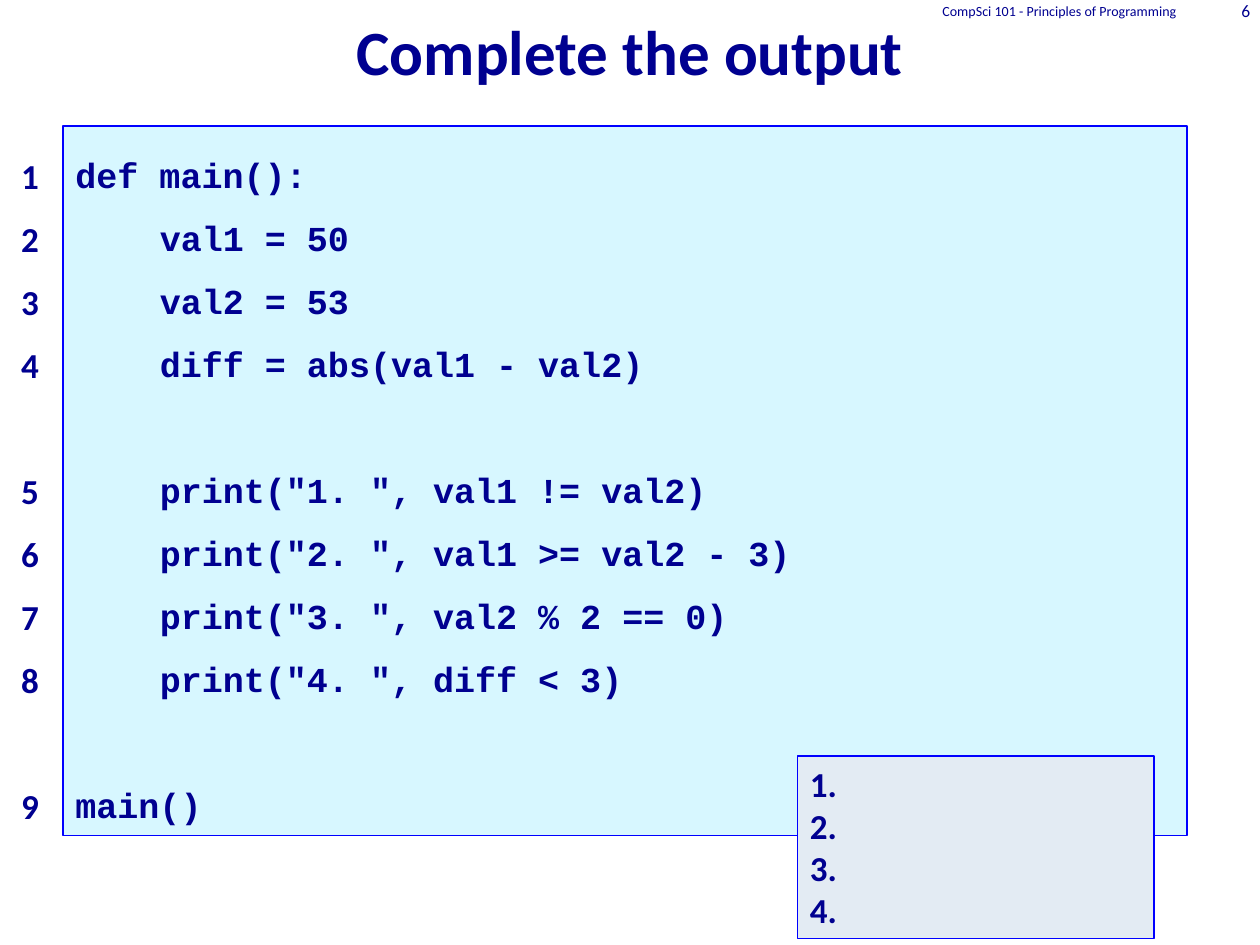
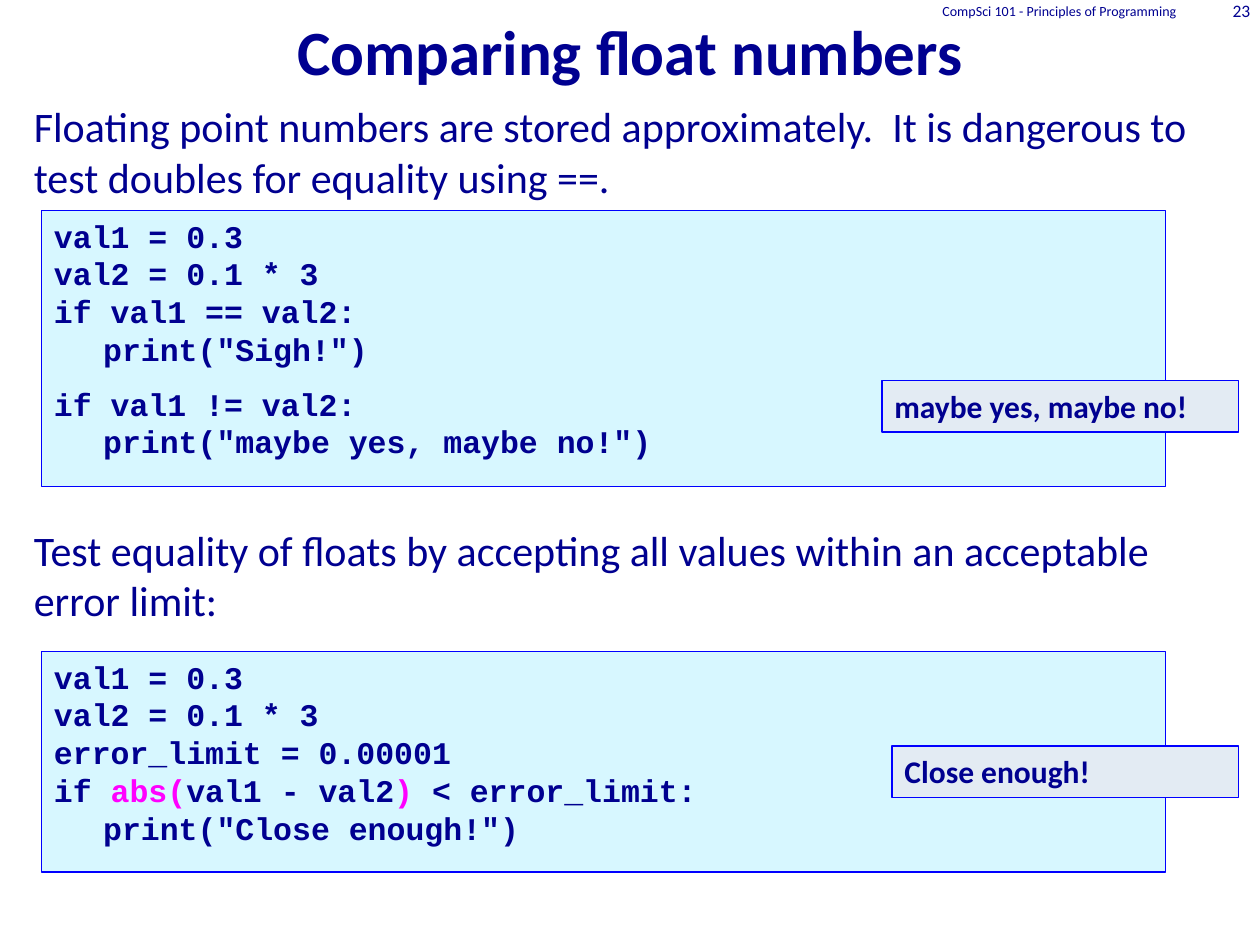
from pptx import Presentation
from pptx.dml.color import RGBColor
from pptx.enum.shapes import MSO_SHAPE
from pptx.enum.text import MSO_ANCHOR, PP_ALIGN
from pptx.util import Inches, Pt

# Content: "" is a gap, a leading tab is one indent, |...| is highlighted
COURSE = "CompSci 101 - Principles of Programming"

OUTPUT_TITLE, OUTPUT_PAGE = "Complete the output", 6
OUTPUT_CODE = [
    "def main():",
    "\tval1 = 50",
    "\tval2 = 53",
    "\tdiff = abs(val1 - val2)",
    "",
    '\tprint("1. ", val1 != val2)',
    '\tprint("2. ", val1 >= val2 - 3)',
    '\tprint("3. ", val2 % 2 == 0)',
    '\tprint("4. ", diff < 3)',
    "",
    "main()",
]
ANSWERS = ["1.", "2.", "3.", "4."]

FLOAT_TITLE, FLOAT_PAGE = "Comparing float numbers", 23
# Each part: (explanation, its top), (code, top, height), (result, left, top, width)
FLOAT_PARTS = [
    (("Floating point numbers are stored approximately.  It is dangerous to "
      "test doubles for equality using ==.", 0.75),
     (["val1 = 0.3",
       "val2 = 0.1 * 3",
       "if val1 == val2:",
       '\tprint("Sigh!")',
       "",
       "if val1 != val2:",
       '\tprint("maybe yes, maybe no!")'], 1.67, 2.19),
     ("maybe yes, maybe no!", 7, 3.02, 2.83)),
    (("Test equality of floats by accepting all values within an acceptable "
      "error limit:", 4.11),
     (["val1 = 0.3",
       "val2 = 0.1 * 3",
       "error_limit = 0.00001",
       "if |abs(|val1 - val2|)| < error_limit:",
       '\tprint("Close enough!")'], 5.17, 1.75),
     ("Close enough!", 7.08, 5.92, 2.75)),
]

# Shared look
WIDTH, HEIGHT = 10, 7.5
INK, HIGHLIGHT, OUTLINE = "000090", "FF00FF", "0000FF"
CODE_FILL, RESULT_FILL = "D7F7FF", "E3EBF3"
PROSE, MONO = "Calibri", "Courier New"
LINE_PITCH = 1.2
CODE_WIDTH = 8.92
HEADER_HEIGHT = 0.17


def color(hex_value):
    return RGBColor.from_string(hex_value)


def write(frame, lines, size, face=PROSE, bold=False, align=PP_ALIGN.LEFT,
          anchor=MSO_ANCHOR.TOP, spacing=1.0, indent=0.39, gap=0.0):
    """Write lines into a frame; empty lines become space before the next."""
    frame.word_wrap = True
    frame.vertical_anchor = anchor
    pending, first = 0, True
    for line in lines:
        if not line:
            pending = gap
            continue
        paragraph = frame.paragraphs[0] if first else frame.add_paragraph()
        first = False
        paragraph.alignment = align
        paragraph.line_spacing = Pt(size * LINE_PITCH * spacing)
        paragraph.space_before = Pt(pending)
        pending = 0
        if line.startswith("\t"):
            properties = paragraph._p.get_or_add_pPr()
            properties.set("marL", str(Inches(indent)))
            properties.set("indent", "0")
        font = paragraph.font
        font.name, font.size, font.bold = face, Pt(size), bold
        font.color.rgb = color(INK)
        for index, piece in enumerate(line.lstrip("\t").split("|")):
            run = paragraph.add_run()
            run.text = piece
            if index % 2:
                run.font.color.rgb = color(HIGHLIGHT)


def add_text(slide, box, lines, size, **style):
    area = slide.shapes.add_textbox(*map(Inches, box))
    write(area.text_frame, lines, size, **style)


def add_panel(slide, box, fill, lines, size, **style):
    panel = slide.shapes.add_shape(MSO_SHAPE.RECTANGLE, *map(Inches, box))
    panel.shadow.inherit = False
    panel.fill.solid()
    panel.fill.fore_color.rgb = color(fill)
    panel.line.color.rgb = color(OUTLINE)
    panel.line.width = Pt(0.75)
    write(panel.text_frame, lines, size, bold=True, **style)


def add_slide(deck, title, page):
    """Start a slide with its title, course name and page number."""
    slide = deck.slides.add_slide(deck.slide_layouts[6])
    add_text(slide, (0, -0.08, WIDTH, 0.83), [title], 36, bold=True,
             align=PP_ALIGN.CENTER, anchor=MSO_ANCHOR.BOTTOM)
    for left, width, label, size in ((6.44, 3, COURSE, 8),
                                     (9.44, 0.58, str(page), 10)):
        add_text(slide, (left, 0, width, HEADER_HEIGHT), [label], size,
                 align=PP_ALIGN.RIGHT, anchor=MSO_ANCHOR.MIDDLE)
    return slide


def build_output_slide(deck):
    slide = add_slide(deck, OUTPUT_TITLE, OUTPUT_PAGE)
    # Number only the lines that hold code
    numbers, count = [], 0
    for line in OUTPUT_CODE:
        count += bool(line)
        numbers.append(str(count) if line else "")
    listing = dict(spacing=1.5, gap=20 * LINE_PITCH * 1.5)
    add_text(slide, (0.07, 1.01, 1.08, 5.63), numbers, 20, bold=True, **listing)
    add_panel(slide, (0.5, 1, CODE_WIDTH, 5.63), CODE_FILL, OUTPUT_CODE, 20,
              face=MONO, indent=0.67, **listing)
    add_panel(slide, (6.33, 6, 2.83, 1.45), RESULT_FILL, ANSWERS, 20)


def build_float_slide(deck):
    slide = add_slide(deck, FLOAT_TITLE, FLOAT_PAGE)
    for explanation, code, result in FLOAT_PARTS:
        text, top = explanation
        add_text(slide, (0.17, top, 9.58, 0.92), [text], 24)
        lines, top, height = code
        add_panel(slide, (0.33, top, CODE_WIDTH, height), CODE_FILL, lines, 18,
                  face=MONO, gap=8 * LINE_PITCH)
        text, left, top, width = result
        add_panel(slide, (left, top, width, 0.41), RESULT_FILL, [text], 18)


def main():
    deck = Presentation()
    deck.slide_width, deck.slide_height = Inches(WIDTH), Inches(HEIGHT)
    build_output_slide(deck)
    build_float_slide(deck)
    deck.save("out.pptx")


if __name__ == "__main__":
    main()
